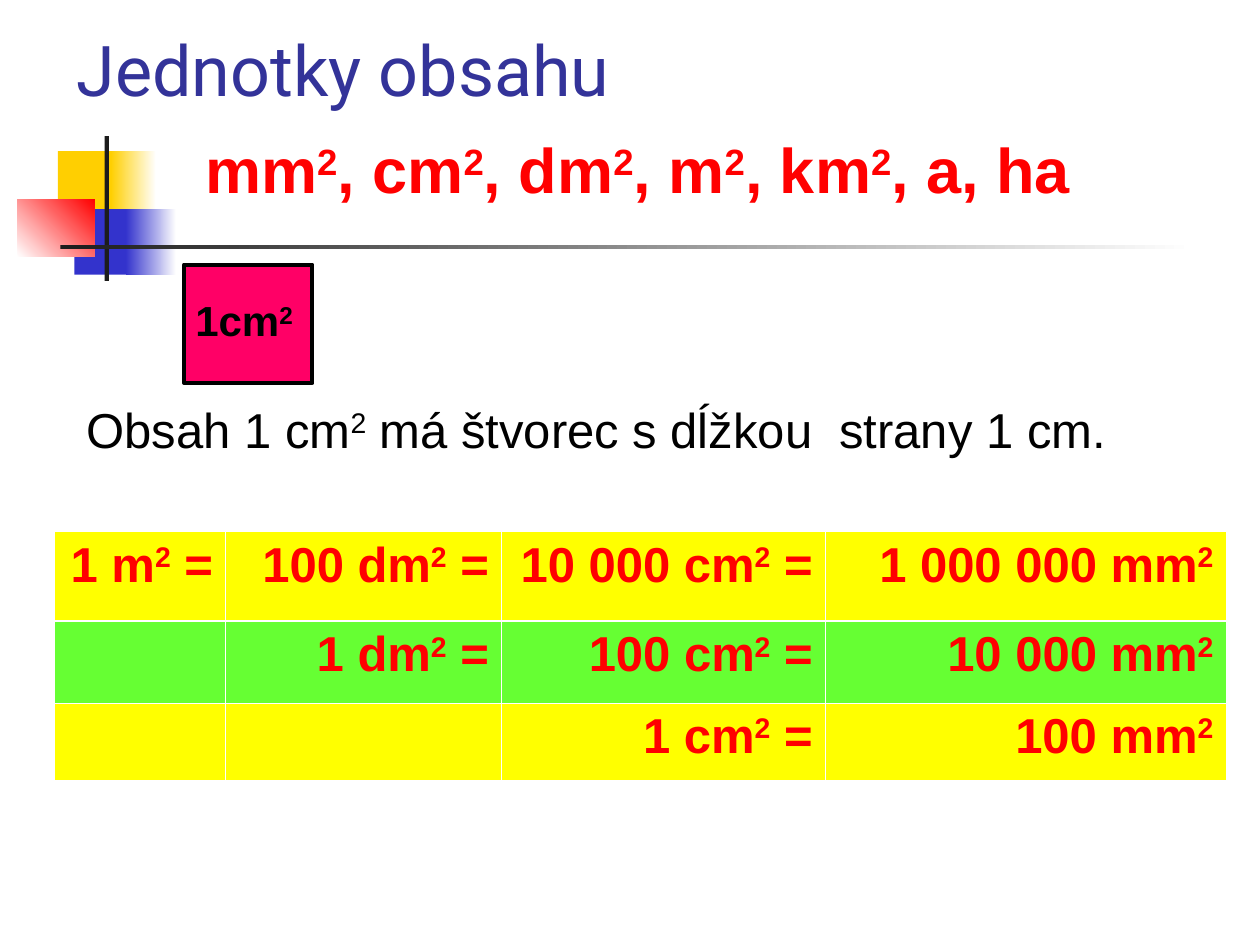
from lxml import etree
from pptx import Presentation
from pptx import util as u
from pptx.dml.color import RGBColor
from pptx.enum import shapes, text
from pptx.oxml.ns import qn

RED, WHITE, BLACK = "FF0000", "FFFFFF", "000000"
GOLD, BLUE, DARK = "FFCF01", "3333CC", "1C1C1C"
YELLOW, GREEN = "FFFF00", "66FF33"


def rgb(code):
    return RGBColor.from_string(code)


class Board:
    """Style and current slide; lengths are cells of a 100 x 75 grid."""

    def __init__(self, deck):
        self.cell = deck.slide_width / 100
        self.slide = deck.slides.add_slide(deck.slide_layouts[6])
        self.font = "Arial"

    def span(self, *nums):
        return [u.Emu(round(n * self.cell)) for n in nums]

    def add_runs(self, para, words, size, color, bold=False, font=None):
        """Add runs; each ^2 becomes a raised 2."""
        for i, part in enumerate(words.split("^")):
            pairs = [(part, False)] if i == 0 else [(part[:1], True), (part[1:], False)]
            for word, raised in pairs:
                if not word:
                    continue
                run = para.add_run()
                run.text = word
                run.font.name = font or self.font
                run.font.size = u.Pt(size)
                run.font.bold = bold
                run.font.color.rgb = rgb(color)
                if raised:
                    run.font._element.set("baseline", "30000")

    def rect(self, box, fill, fade=None, angle=0, line=None):
        shape = self.slide.shapes.add_shape(
            shapes.MSO_SHAPE.RECTANGLE, *self.span(*box))
        shape.shadow.inherit = False
        if fade:
            shape.fill.gradient()
            shape.fill.gradient_angle = angle
            for stop, color in zip(shape.fill.gradient_stops, (fill, fade)):
                stop.color.rgb = rgb(color)
        else:
            shape.fill.solid()
            shape.fill.fore_color.rgb = rgb(fill)
        if line:
            shape.line.color.rgb = rgb(line)
            shape.line.width = u.Pt(2.25)
        else:
            shape.line.fill.background()

    def label(self, box, words, size, color, bold=False, font=None,
              pad=(1, 0.5), anchor=text.MSO_ANCHOR.TOP):
        frame = self.slide.shapes.add_textbox(*self.span(*box)).text_frame
        frame.word_wrap = True
        frame.vertical_anchor = anchor
        frame.margin_left, frame.margin_top = self.span(*pad)
        frame.margin_right, frame.margin_bottom = self.span(*pad)
        self.add_runs(frame.paragraphs[0], words, size, color, bold, font)

    def edge(self, cell, side, width):
        props = cell._tc.get_or_add_tcPr()
        line = etree.SubElement(props, qn("a:ln" + side), w=str(u.Pt(width)))
        fill = etree.SubElement(line, qn("a:solidFill"))
        etree.SubElement(fill, qn("a:srgbClr"), val=WHITE)

    def table(self, left, top, cols, rows, data, fills):
        box = self.span(left, top, sum(cols), sum(rows))
        grid = self.slide.shapes.add_table(len(rows), len(cols), *box).table
        for col, width in zip(grid.columns, self.span(*cols)):
            col.width = width
        for row, height in zip(grid.rows, self.span(*rows)):
            row.height = height
        for r, line in enumerate(data):
            for c, words in enumerate(line):
                cell = grid.cell(r, c)
                # The rule under the first row is heavier
                for side in "LRTB":
                    heavy = (r, side) in ((0, "B"), (1, "T"))
                    self.edge(cell, side, 1.47 if heavy else 0.45)
                cell.fill.solid()
                cell.fill.fore_color.rgb = rgb(fills[r])
                para = cell.text_frame.paragraphs[0]
                para.alignment = text.PP_ALIGN.RIGHT
                self.add_runs(para, words, 28, RED, True)


def main():
    deck = Presentation()
    deck.slide_width, deck.slide_height = u.Inches(10), u.Inches(7.5)
    board = Board(deck)

    # Corner ornament and rules
    board.rect((4.6, 12, 4.8, 5.2), GOLD)
    board.rect((8.8, 12, 3.6, 5.2), GOLD, WHITE)
    board.rect((5.9, 16.6, 4.6, 5.2), BLUE)
    board.rect((10, 16.6, 4, 5.2), BLUE, WHITE)
    board.rect((1.4, 15.8, 6.1, 4.6), WHITE, RED, 45)
    board.rect((8.3, 10.8, 0.35, 11.5), DARK)
    board.rect((4.8, 19.45, 90, 0.35), DARK, WHITE)

    # Title, units and definition
    board.label((5.1, 0, 90, 9.3), "Jednotky obsahu", 40, "333399",
                font="Roboto", anchor=text.MSO_ANCHOR.BOTTOM)
    board.label((15.3, 9.9, 80.3, 7), "mm^2, cm^2, dm^2, m^2, km^2, a, ha",
                36, RED, True)
    board.label((5.9, 31.2, 84.3, 5.7),
                "Obsah 1 cm^2 má štvorec s dĺžkou  strany 1 cm.", 28, BLACK)

    # Unit square
    board.rect((14.6, 21, 10.2, 9.4), "FF0066", line=BLACK)
    board.label((15.3, 23.3, 9.5, 4.2), "1cm^2", 24, BLACK, True, pad=(0.2, 0.1))

    # Conversion table
    board.table(4.3, 42.2, (13.6, 21.9, 25.7, 31.8), (7.1, 6.5, 6.1), (
        ("1 m^2 =", "100 dm^2 =", "10 000 cm^2 =", "1 000 000 mm^2"),
        ("", "1 dm^2 =", "100 cm^2 =", "10 000 mm^2"),
        ("", "", "1 cm^2 =", "100 mm^2"),
    ), (YELLOW, GREEN, YELLOW))

    deck.save("out.pptx")


if __name__ == "__main__":
    main()
